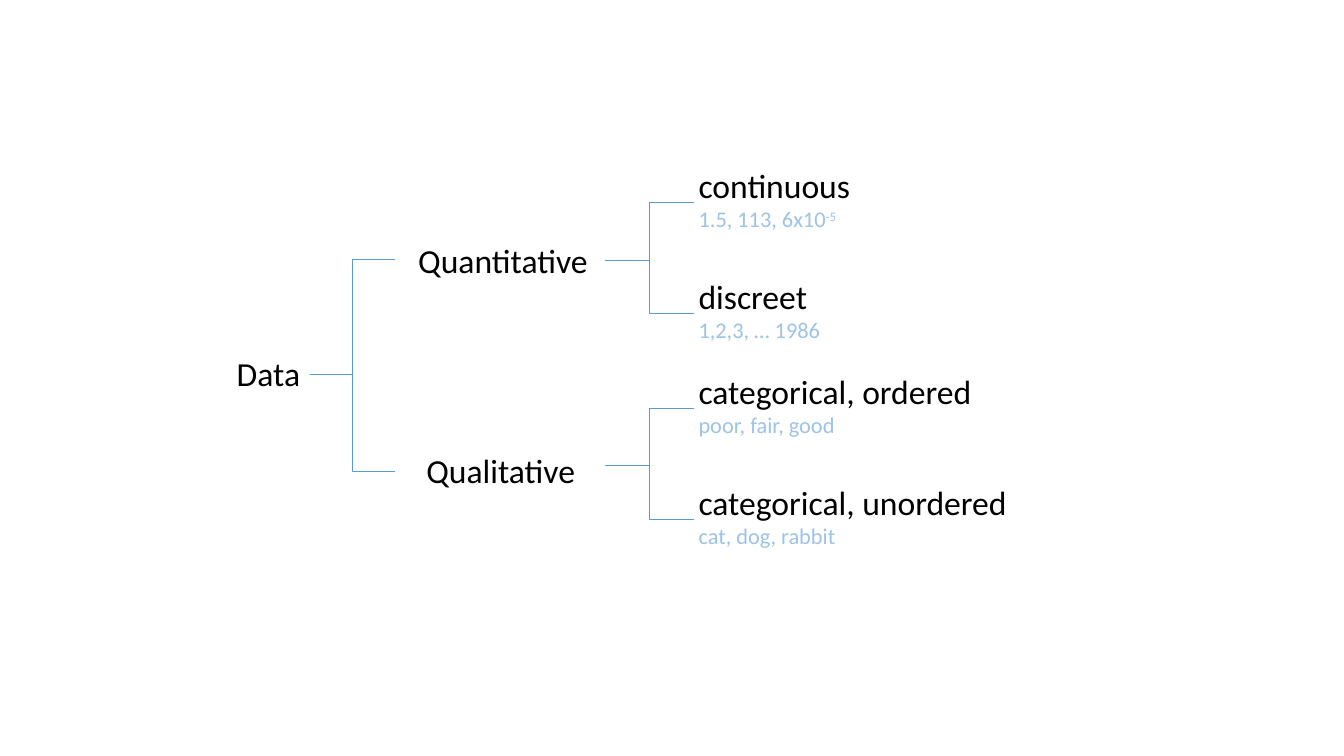
import dataclasses
import pptx
import pptx.dml.color
import pptx.enum.shapes
import pptx.enum.text
import pptx.oxml.ns
import pptx.util
from lxml import etree
from pptx.util import Inches


@dataclasses.dataclass(frozen=True)
class Theme:
    """Colours, font and type sizes of the slide."""
    label: str = "000000"
    example: str = "9DC3E6"
    branch: str = "5B9BD5"
    font: str = "Calibri"
    label_size: int = 24
    example_size: int = 16
    branch_width: float = 0.5


THEME = Theme()


def style_runs(paragraph, size, color):
    """Format every run of a paragraph."""
    for run in paragraph.runs:
        run.font.name = THEME.font
        run.font.size = pptx.util.Pt(size)
        run.font.color.rgb = pptx.dml.color.RGBColor.from_string(color)


def add_node(slide, box, label, example="", exponent=""):
    """Place a label, with an optional example line below, in the box."""
    node = slide.shapes.add_textbox(*map(Inches, box)).text_frame
    node.word_wrap = False
    node.auto_size = pptx.enum.text.MSO_AUTO_SIZE.SHAPE_TO_FIT_TEXT
    node.text = label
    style_runs(node.paragraphs[0], THEME.label_size, THEME.label)
    if example:
        example_line = node.add_paragraph()
        example_line.text = example
        if exponent:
            power = example_line.add_run()
            power.text = exponent
            power._r.get_or_add_rPr().set("baseline", "30000")
        style_runs(example_line, THEME.example_size, THEME.example)


def add_fork(slide, box, stem):
    """Draw two elbows from the stem height at the left to the box's right corners."""
    left, top, width, height = box
    for tip in (top, top + height):
        elbow = slide.shapes.add_connector(
            pptx.enum.shapes.MSO_CONNECTOR.ELBOW,
            *map(Inches, (left, top + stem, left + width, tip)))
        elbow.line.color.rgb = pptx.dml.color.RGBColor.from_string(THEME.branch)
        elbow.line.width = pptx.util.Pt(THEME.branch_width)
        etree.SubElement(elbow._element.spPr, pptx.oxml.ns.qn("a:effectLst"))


def add_data_type(slide, box, label, label_box, leaves):
    """Place a data type, its fork and its two leaves relative to the box."""
    left, top, width, height = box
    indent, drop, label_width = label_box
    add_node(slide, (left + indent, top + drop, label_width, 0.5), label)
    add_fork(slide, (left + 1.95, top + 0.42, 0.88, 1.1), 0.57)
    leaf_height = 0.77
    for leaf_top, (leaf_width, *texts) in zip((top, top + height - leaf_height), leaves):
        add_node(slide, (left + 2.78, leaf_top, leaf_width, leaf_height), *texts)


def add_data_tree(slide, box):
    """Place the tree of data types relative to the box."""
    left, top, width, height = box
    add_node(slide, (left, top + 1.86, 0.84, 0.5), "Data")
    add_fork(slide, (left + 0.82, top + 0.98, 0.85, 2.11), 1.14)
    data_types = [
        ("Quantitative", (0, 0.74, 1.9), [
            (1.72, "continuous", "1.5, 113, 6x10", "-5"),
            (1.42, "discreet", "1,2,3, … 1986")]),
        ("Qualitative", (0.08, 0.78, 1.69), [
            (2.93, "categorical, ordered", "poor, fair, good"),
            (3.29, "categorical, unordered", "cat, dog, rabbit")]),
    ]
    type_height = 1.87
    tops = (top, top + height - type_height)
    for type_top, data_type in zip(tops, data_types):
        add_data_type(slide, (left + 1.8, type_top, width - 1.8, type_height), *data_type)


def main():
    """Build and save the slide."""
    deck = pptx.Presentation()
    deck.slide_width, deck.slide_height = Inches(13.33), Inches(7.5)
    slide = deck.slides.add_slide(deck.slide_layouts[6])
    add_data_tree(slide, (2.25, 1.59, 7.88, 3.91))
    deck.save("out.pptx")


main()
